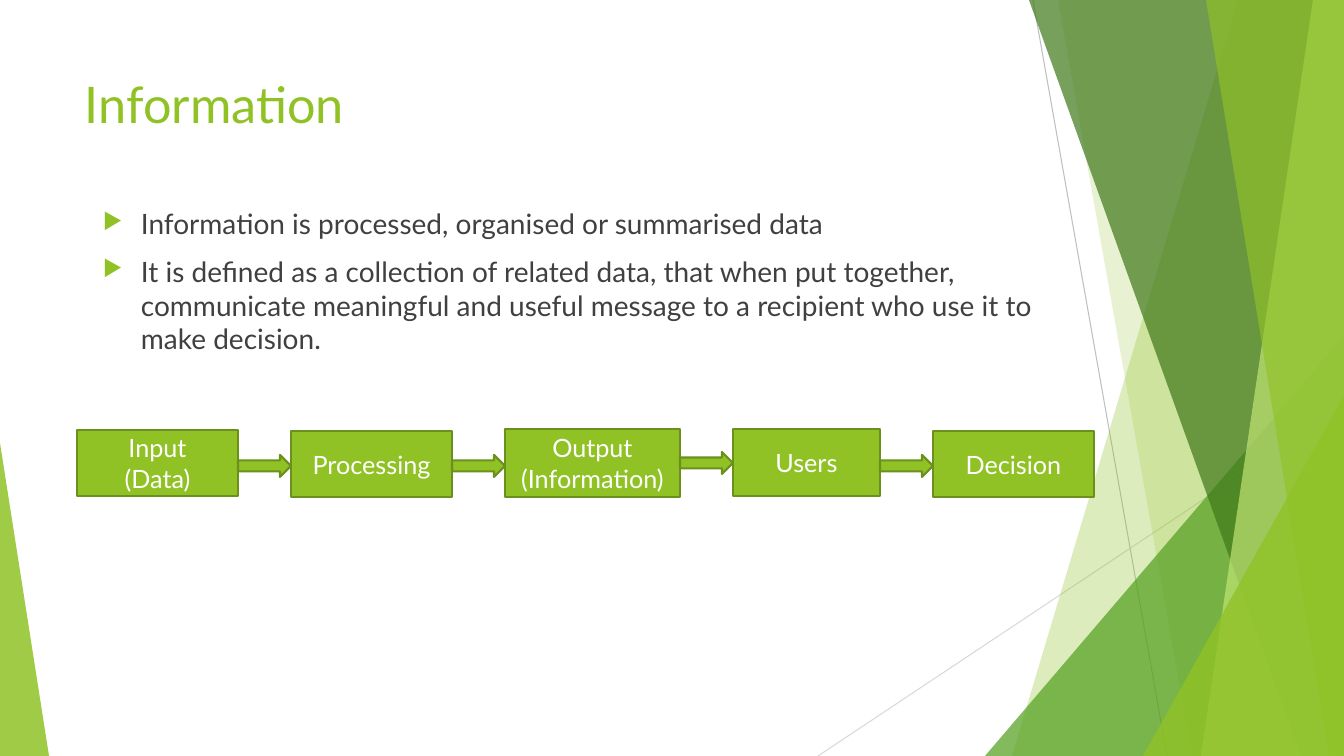
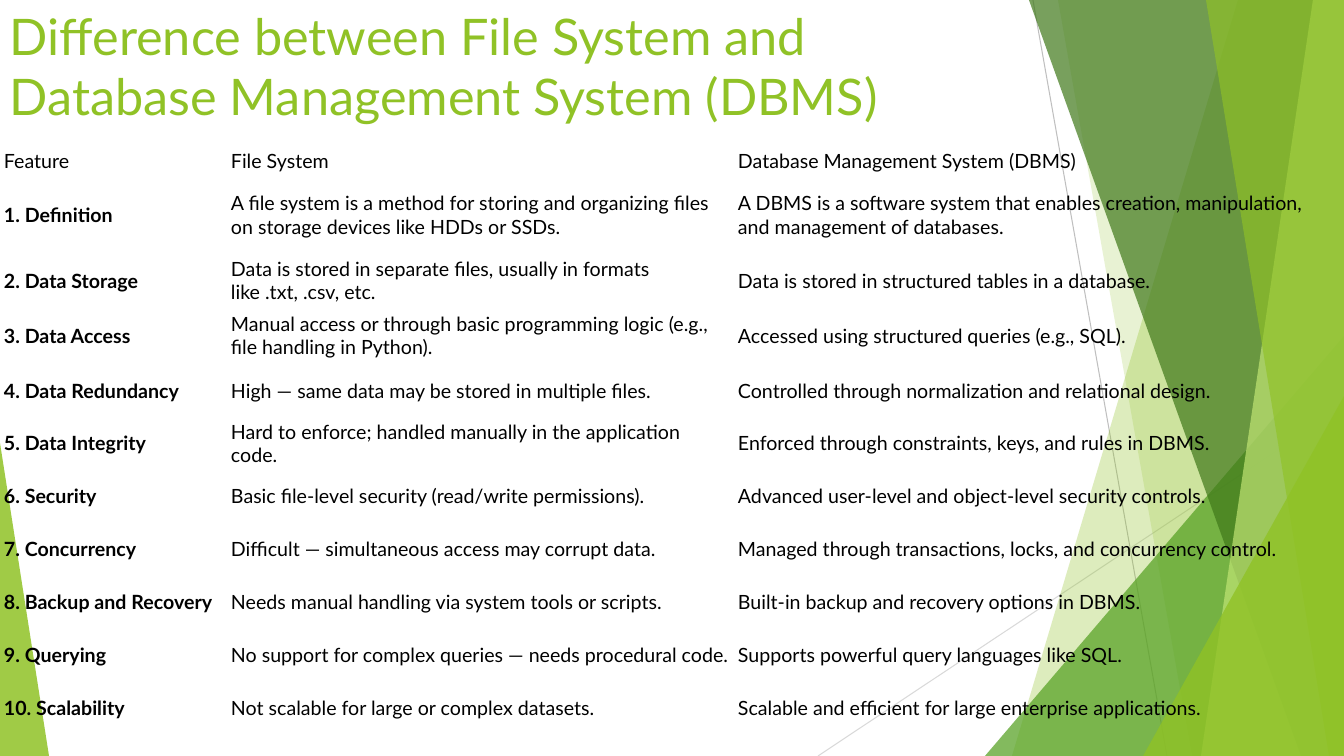
from lxml.etree import SubElement
from pptx import Presentation
from pptx.dml.color import RGBColor
from pptx.enum.shapes import MSO_CONNECTOR as Connector, MSO_SHAPE as Shape
from pptx.enum.text import MSO_ANCHOR as Anchor, PP_ALIGN as Align
from pptx.oxml.ns import qn
from pptx.util import Emu, Pt

PX = 914400 / 100.8
WIDTH, HEIGHT = 1344, 756
FONT = "Lato"
NO_GRID_STYLE = "{2D5ABB26-0587-4C30-8999-92F81FD0307C}"

GREEN = RGBColor(0x90, 0xC2, 0x26)
MID_GREEN = RGBColor(0x54, 0xA0, 0x21)
DARK_GREEN = RGBColor(0x3F, 0x78, 0x19)
PALE_GREEN = RGBColor(0xC0, 0xE4, 0x74)
OUTLINE = RGBColor(0x6B, 0x90, 0x1C)
GREY = RGBColor(0xBF, 0xBF, 0xBF)
LIGHT_GREY = RGBColor(0xD9, 0xD9, 0xD9)
TEXT_GREY = RGBColor(0x40, 0x40, 0x40)
BLACK = RGBColor(0, 0, 0)
WHITE = RGBColor(0xFF, 0xFF, 0xFF)

RAYS = [
    ((10.25 * 100.8, 0), (1167, HEIGHT), GREY),
    ((WIDTH, 406), (818, HEIGHT), LIGHT_GREY),
]
RAYS[0] = ((1033, 0), (1167, HEIGHT), GREY)

BULLETS = [
    "Information is processed, organised or summarised data",
    "It is defined as a collection of related data, that when put together, "
    "communicate meaningful and useful message to a recipient who use it to "
    "make decision.",
]

FLOW_LEFT, FLOW_GAP, ARROW_HEIGHT = 77, 53, 22
FLOW = [
    (["Input", "(Data)"], 430, 161, 66, 455),
    (["Processing"], 431, 161, 66, 455),
    (["Output", "(Information)"], 429, 175, 68, 452),
    (["Users"], 429, 147, 67, 455),
    (["Decision"], 431, 161, 66, None),
]

COLUMN_WIDTHS = [227, 507, 580]
ROW_HEIGHTS = [31, 78, 53, 57] + [53] * 7
COMPARISON = [
    ("Feature", "File System", "Database Management System (DBMS)"),
    ("1. Definition",
     "A file system is a method for storing and organizing files on storage devices like HDDs or SSDs.",
     "A DBMS is a software system that enables creation, manipulation, and management of databases."),
    ("2. Data Storage",
     "Data is stored in separate files, usually in formats like .txt, .csv, etc.",
     "Data is stored in structured tables in a database."),
    ("3. Data Access",
     "Manual access or through basic programming logic (e.g., file handling in Python).",
     "Accessed using structured queries (e.g., SQL)."),
    ("4. Data Redundancy",
     "High — same data may be stored in multiple files.",
     "Controlled through normalization and relational design."),
    ("5. Data Integrity",
     "Hard to enforce; handled manually in the application code.",
     "Enforced through constraints, keys, and rules in DBMS."),
    ("6. Security",
     "Basic file-level security (read/write permissions).",
     "Advanced user-level and object-level security controls."),
    ("7. Concurrency",
     "Difficult — simultaneous access may corrupt data.",
     "Managed through transactions, locks, and concurrency control."),
    ("8. Backup and Recovery",
     "Needs manual handling via system tools or scripts.",
     "Built-in backup and recovery options in DBMS."),
    ("9. Querying",
     "No support for complex queries — needs procedural code.",
     "Supports powerful query languages like SQL."),
    ("10. Scalability",
     "Not scalable for large or complex datasets.",
     "Scalable and efficient for large enterprise applications."),
]


def px(*lengths):
    """Turn pixel lengths into EMU."""
    return [Emu(round(length * PX)) for length in lengths]


def add_span(para, text, size, color, bold=False):
    """Add one formatted run to a paragraph."""
    span = para.add_run()
    span.text = text
    span.font.name = FONT
    span.font.size = Pt(size)
    span.font.color.rgb = color
    span.font.bold = bold


def next_para(frame, index):
    """Return the paragraph to fill at this index of a text frame."""
    return frame.add_paragraph() if index else frame.paragraphs[0]


def add_text_box(page, left, top, width, height):
    """Add a wrapping text box and return its text frame."""
    frame = page.shapes.add_textbox(*px(left, top, width, height)).text_frame
    frame.word_wrap = True
    return frame


def paint(shape, color, opacity=100):
    """Give a shape a flat, possibly transparent fill and no outline."""
    shape.shadow.inherit = False
    shape.fill.solid()
    shape.fill.fore_color.rgb = color
    shape.line.fill.background()
    if opacity < 100:
        for tint in shape.element.xpath("./p:spPr/a:solidFill/a:srgbClr"):
            SubElement(tint, qn("a:alpha"), val=str(opacity * 1000))


def add_ray(page, start, end, color):
    """Add a thin decorative line."""
    ray = page.shapes.add_connector(Connector.STRAIGHT, *px(*start, *end))
    ray.line.color.rgb = color
    ray.line.width = Pt(0.75)
    SubElement(ray.element.spPr, qn("a:effectLst"))


def add_band(page, top_left, top_right, bottom_left, color, opacity):
    """Add a full-height band that reaches the lower right corner."""
    outline = page.shapes.build_freeform(top_left, 0, scale=PX)
    outline.add_line_segments(
        [(top_right, 0), (WIDTH, HEIGHT), (bottom_left, HEIGHT)])
    paint(outline.convert_to_shape(), color, opacity)


def add_corner(page, left, top, width, peak, color, opacity):
    """Add a triangle that stands on the bottom edge."""
    corner = page.shapes.add_shape(
        Shape.ISOSCELES_TRIANGLE, *px(left, top, width, HEIGHT - top))
    corner.adjustments[0] = peak
    paint(corner, color, opacity)


def add_backdrop(page):
    """Draw the green facets shared by all slides."""
    add_ray(page, (1033, 0), (1167, HEIGHT), GREY)
    add_ray(page, (WIDTH, 406), (818, HEIGHT), LIGHT_GREY)
    add_band(page, 1238, WIDTH, 1012, GREEN, 30)
    add_band(page, 1058, WIDTH, 1192, GREEN, 20)
    add_corner(page, 985, 336, 359, 1, MID_GREEN, 72)
    add_band(page, 1029, WIDTH, 1301, DARK_GREEN, 70)
    add_band(page, 1313, WIDTH, 1201, PALE_GREEN, 70)
    add_band(page, 1206, WIDTH, 1329, GREEN, 65)
    add_corner(page, 1143, 396, 201, 1, GREEN, 80)
    add_corner(page, 0, 443, 49, 0, GREEN, 85)


def add_page(deck, title, left, top, width):
    """Add a slide with the backdrop and a title."""
    page = deck.slides.add_slide(deck.slide_layouts[6])
    add_backdrop(page)
    frame = add_text_box(page, left, top, width, 145)
    add_span(frame.paragraphs[0], title, 36, GREEN)
    return page


def add_bullets(page, lines, left, top, width, height):
    """Add a list with green arrow bullets."""
    frame = add_text_box(page, left, top, width, height)
    indent, = px(38)
    for index, line in enumerate(lines):
        para = next_para(frame, index)
        props = para._p.get_or_add_pPr()
        props.set("marL", str(indent))
        props.set("indent", str(-indent))
        SubElement(SubElement(props, qn("a:buClr")), qn("a:srgbClr"), val=str(GREEN))
        SubElement(props, qn("a:buSzPct"), val="80000")
        SubElement(props, qn("a:buChar"), char="▶")
        para.space_before = Pt(10 if index else 0)
        add_span(para, line, 20, TEXT_GREY)


def add_flow_shape(page, kind, left, top, width, height):
    """Add an outlined green shape of the flow."""
    shape = page.shapes.add_shape(kind, *px(left, top, width, height))
    paint(shape, GREEN)
    shape.line.color.rgb = OUTLINE
    shape.line.width = Pt(1.5)
    return shape


def add_flow(page, steps):
    """Add a row of boxes with block arrows between them."""
    left = FLOW_LEFT
    for lines, top, width, height, arrow_top in steps:
        box = add_flow_shape(page, Shape.RECTANGLE, left, top, width, height)
        box.text_frame.word_wrap = True
        box.text_frame.vertical_anchor = Anchor.MIDDLE
        for index, line in enumerate(lines):
            para = next_para(box.text_frame, index)
            para.alignment = Align.CENTER
            add_span(para, line, 18, WHITE)
        left += width
        if arrow_top is not None:
            add_flow_shape(page, Shape.RIGHT_ARROW, left, arrow_top, FLOW_GAP, ARROW_HEIGHT)
        left += FLOW_GAP


def add_comparison(page, rows, left, top):
    """Add a table without fills or borders."""
    size = px(left, top, sum(COLUMN_WIDTHS), sum(ROW_HEIGHTS))
    holder = page.shapes.add_table(len(rows), len(COLUMN_WIDTHS), *size)
    holder.element.xpath(".//a:tableStyleId")[0].text = NO_GRID_STYLE
    table = holder.table
    table.first_row = table.horz_banding = False
    for column, width in zip(table.columns, px(*COLUMN_WIDTHS)):
        column.width = width
    for row, height in zip(table.rows, px(*ROW_HEIGHTS)):
        row.height = height
    for row, texts in enumerate(rows):
        for column, text in enumerate(texts):
            cell = table.cell(row, column)
            cell.fill.background()
            cell.vertical_anchor = Anchor.MIDDLE
            cell.margin_left, cell.margin_right = px(4, 4)
            cell.margin_top, cell.margin_bottom = px(2, 2)
            add_span(cell.text_frame.paragraphs[0], text, 14, BLACK,
                     bold=row > 0 and column == 0)


def main():
    """Build and save the deck."""
    deck = Presentation()
    deck.slide_width, deck.slide_height = px(WIDTH, HEIGHT)

    page = add_page(deck, "Information", 75, 68, 948)
    add_bullets(page, BULLETS, 93, 202, 986, 193)
    add_flow(page, FLOW)

    page = add_page(
        deck, "Difference between File System and Database Management System (DBMS)",
        0, 0, 1020)
    add_comparison(page, COMPARISON, 0, 145)

    deck.save("out.pptx")


if __name__ == "__main__":
    main()
